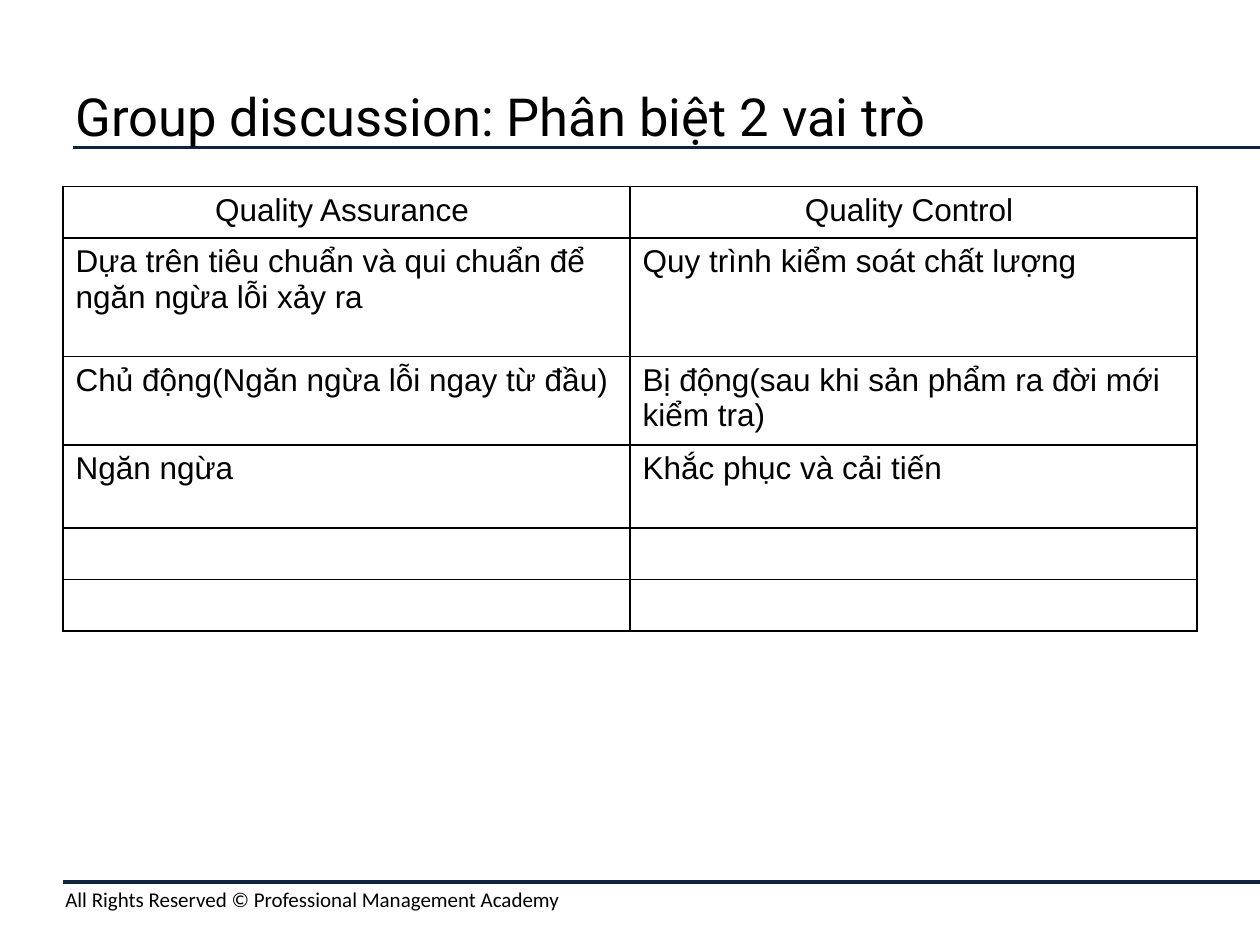
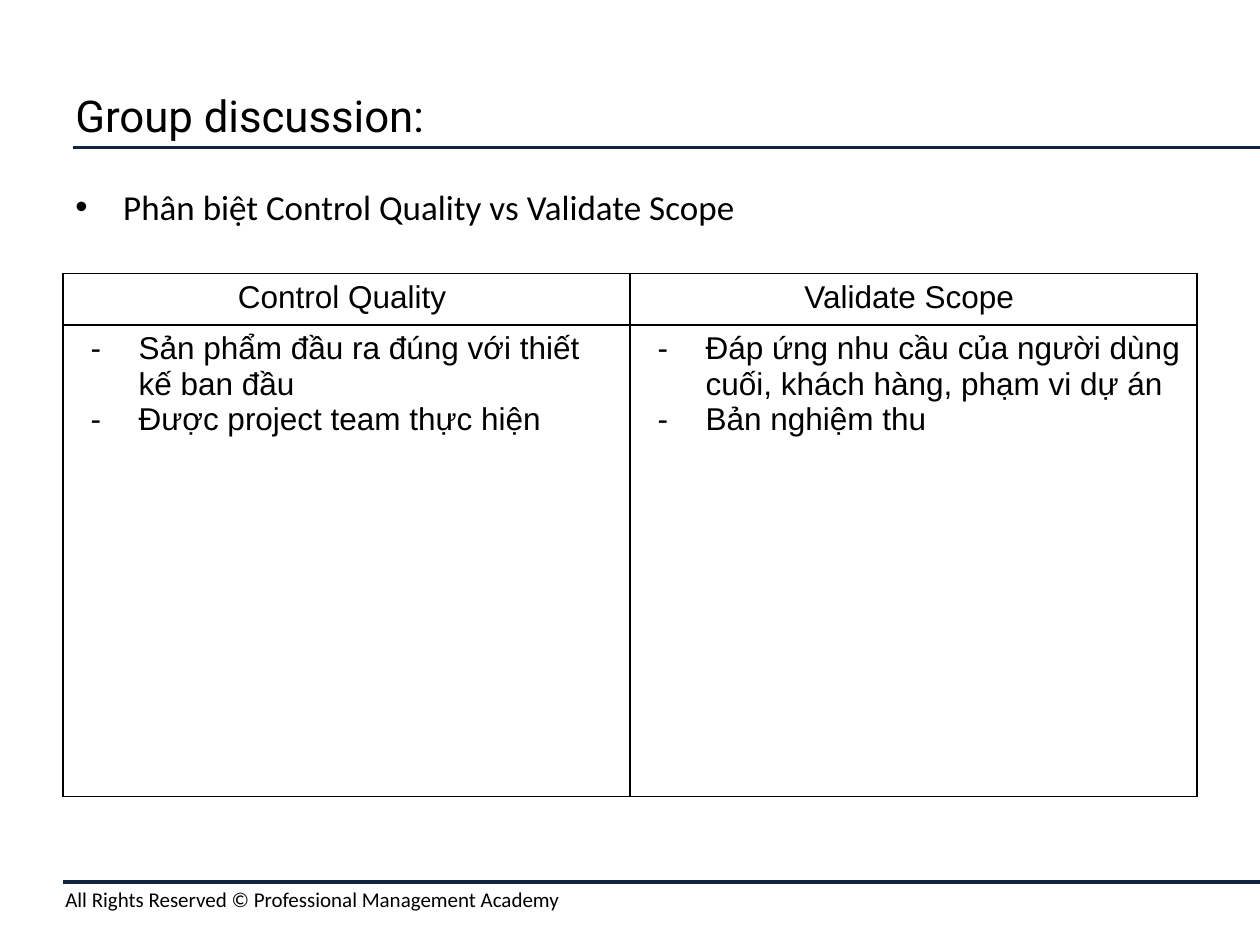
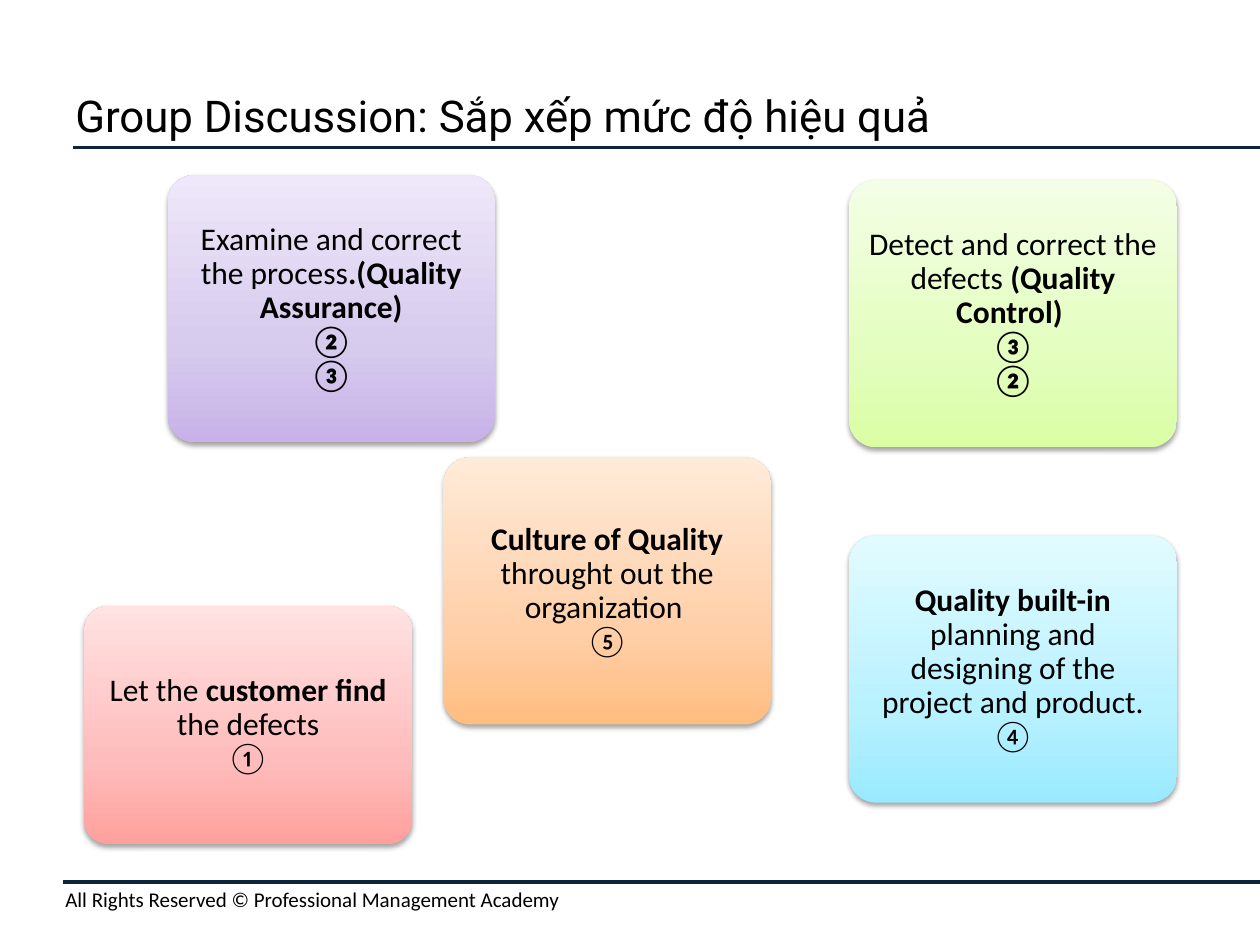
from lxml import etree
from pptx import Presentation, util as u
from pptx.dml import color as dml
from pptx.enum import shapes, text
from pptx.oxml import parse_xml
from pptx.oxml.ns import nsdecls, qn

NAVY, BLACK = "0F243E", "000000"
MIDDLE, CENTER = text.MSO_ANCHOR.MIDDLE, text.PP_ALIGN.CENTER
FOOTER = "All Rights Reserved © Professional Management Academy"


def rgb(value):
    return dml.RGBColor.from_string(value)


def write_text(frame, paragraphs, font, size, bullet=None, indent=0.5, **layout):
    """Fill a frame; each paragraph is a list of (text, bold) runs."""
    frame.word_wrap = True
    for index, runs in enumerate(paragraphs):
        paragraph = frame.paragraphs[0] if index == 0 else frame.add_paragraph()
        if bullet:
            properties = paragraph._p.get_or_add_pPr()
            properties.set("marL", str(u.Inches(indent)))
            properties.set("indent", str(u.Inches(-0.38)))
            etree.SubElement(properties, qn("a:buFont"), typeface="Arial")
            etree.SubElement(properties, qn("a:buChar"), char=bullet)
        for name, value in layout.items():
            setattr(paragraph, name, value)
        for content, bold in runs:
            run = paragraph.add_run()
            run.text = content
            values = {"name": font, "size": u.Pt(size), "bold": bold}
            for name, value in values.items():
                setattr(run.font, name, value)
            run.font.color.rgb = rgb(BLACK)


presentation = Presentation()
presentation.slide_width = u.Inches(10)
presentation.slide_height = u.Inches(7.5)

# Slides with their shared rules, footer and title
titles = [
    ("Group discussion: Phân biệt 2 vai trò", 30),
    ("Group discussion:", 25),
    ("Group Discussion: Sắp xếp mức độ hiệu quả", 25),
]
slides = []
for title, title_size in titles:
    slide = presentation.slides.add_slide(presentation.slide_layouts[6])
    slides.append(slide)
    for left, top in [(0.58, 1.17), (0.5, 7)]:
        rule = slide.shapes.add_connector(
            shapes.MSO_CONNECTOR.STRAIGHT,
            u.Inches(left), u.Inches(top), u.Inches(10), u.Inches(top))
        rule.line.color.rgb = rgb(NAVY)
        rule.line.width = u.Pt(2)
        etree.SubElement(rule._element.spPr, qn("a:effectLst"))
    footer_box = slide.shapes.add_textbox(
        u.Inches(0.42), u.Inches(6.99), u.Inches(9.58), u.Inches(0.3))
    write_text(footer_box.text_frame, [[(FOOTER, False)]], "Calibri", 12)
    title_box = slide.shapes.add_textbox(
        u.Inches(0.5), u.Inches(0.5), u.Inches(9), u.Inches(0.83))
    title_box.text_frame.vertical_anchor = MIDDLE
    write_text(title_box.text_frame, [[(title, False)]], "Roboto", title_size)

# Topic line above the second table
topic_box = slides[1].shapes.add_textbox(
    u.Inches(0.5), u.Inches(1.42), u.Inches(9), u.Inches(5.28))
write_text(topic_box.text_frame,
           [[("Phân biệt Control Quality vs Validate Scope", False)]],
           "Calibri", 20, bullet="•", indent=0.38)

# Comparison tables: slide, top, row heights, bullet, rows of cell paragraphs
tables = [
    (slides[0], 1.48, [0.41, 0.94, 0.66, 0.66, 0.41, 0.41], None, [
        [["Quality Assurance "], ["Quality Control "]],
        [["Dựa trên tiêu chuẩn và qui chuẩn để ngăn ngừa lỗi xảy ra"],
         ["Quy trình kiểm soát chất lượng"]],
        [["Chủ động(Ngăn ngừa lỗi ngay từ đầu)"],
         ["Bị động(sau khi sản phẩm ra đời mới kiểm tra)"]],
        [["Ngăn ngừa"], ["Khắc phục và cải tiến"]],
        [[], []],
        [[], []],
    ]),
    (slides[1], 2.17, [0.41, 3.74], "-", [
        [["Control Quality "], ["Validate Scope "]],
        [["Sản phẩm đầu ra đúng với thiết kế ban đầu",
          "Được project team thực hiện"],
         ["Đáp ứng nhu cầu của người dùng cuối, khách hàng, phạm vi dự án",
          "Bản nghiệm thu"]],
    ]),
]
for slide, top, heights, bullet, rows in tables:
    table = slide.shapes.add_table(
        len(rows), 2, u.Inches(0.5), u.Inches(top),
        u.Inches(9), u.Inches(sum(heights))).table
    table.first_row = table.horz_banding = False
    for row_index, (height, row) in enumerate(zip(heights, rows)):
        table.rows[row_index].height = u.Inches(height)
        for column_index, lines in enumerate(row):
            cell = table.cell(row_index, column_index)
            header = row_index == 0
            write_text(cell.text_frame, [[(line, False)] for line in lines],
                       "Arial", 18, bullet=None if header else bullet,
                       alignment=CENTER if header else text.PP_ALIGN.LEFT)
            properties = cell._tc.get_or_add_tcPr()
            for side in ("lnL", "lnR", "lnT", "lnB"):
                properties.append(parse_xml(
                    f'<a:{side} {nsdecls("a")} w="{u.Pt(1)}"><a:solidFill>'
                    f'<a:srgbClr val="{BLACK}"/></a:solidFill></a:{side}>'))
            cell.fill.background()

# Effectiveness cards: left, top, height, colours from bottom to top, paragraphs
cards = [
    (0.67, 4.81, 1.89, ["FFA09D", "FFBCBC", "FFE2E2"],
     [[("Let the ", False), ("customer find ", True), ("the defects", False)],
      [("①", False)]]),
    (6.74, 1.43, 2.12, ["DAFEA4", "E3FEBF", "F4FEE6"],
     [[("Detect and correct the defects ", False), ("(Quality Control) ", True)],
      [("③", True)], [("②", True)]]),
    (1.33, 1.39, 2.12, ["C8B2E9", "D6CAED", "EFE8FA"],
     [[("Examine and correct the process", False), (".(Quality Assurance)", True)],
      [("②", True)], [("③", True)]]),
    (6.74, 4.25, 2.12, ["99EAFF", "B8F1FF", "E2FBFF"],
     [[("Quality built-in ", True),
       ("planning and designing of the project and product.", False)],
      [("④", False)]]),
    (3.52, 3.63, 2.12, ["FFBD80", "FFCFA8", "FFEBD9"],
     [[("Culture of Quality ", True), ("throught out the organization ", False)],
      [("⑤", False)]]),
]
for left, top, height, colours, paragraphs in cards:
    card = slides[2].shapes.add_shape(
        shapes.MSO_SHAPE.ROUNDED_RECTANGLE,
        u.Inches(left), u.Inches(top), u.Inches(2.6), u.Inches(height))
    card.adjustments[0] = 0.1
    stops = "".join(
        f'<a:gs pos="{position}000"><a:srgbClr val="{colour}"/></a:gs>'
        for position, colour in zip((0, 35, 100), colours))
    card._element.spPr.append(parse_xml(
        f'<a:gradFill {nsdecls("a")}><a:gsLst>{stops}</a:gsLst>'
        '<a:lin ang="16200000" scaled="0"/></a:gradFill>'))
    card.line.fill.background()
    card._element.spPr.append(parse_xml(
        f'<a:effectLst {nsdecls("a")}><a:outerShdw blurRad="{u.Pt(3.1)}" '
        f'dist="{u.Pt(1.6)}" dir="5400000" rotWithShape="0">'
        f'<a:srgbClr val="{BLACK}"><a:alpha val="37000"/></a:srgbClr>'
        '</a:outerShdw></a:effectLst>'))
    frame = card.text_frame
    for side in ("left", "right", "top", "bottom"):
        setattr(frame, f"margin_{side}", u.Inches(0.08))
    frame.vertical_anchor = MIDDLE
    write_text(frame, paragraphs, "Calibri", 18, alignment=CENTER, line_spacing=0.9)

presentation.save("out.pptx")
